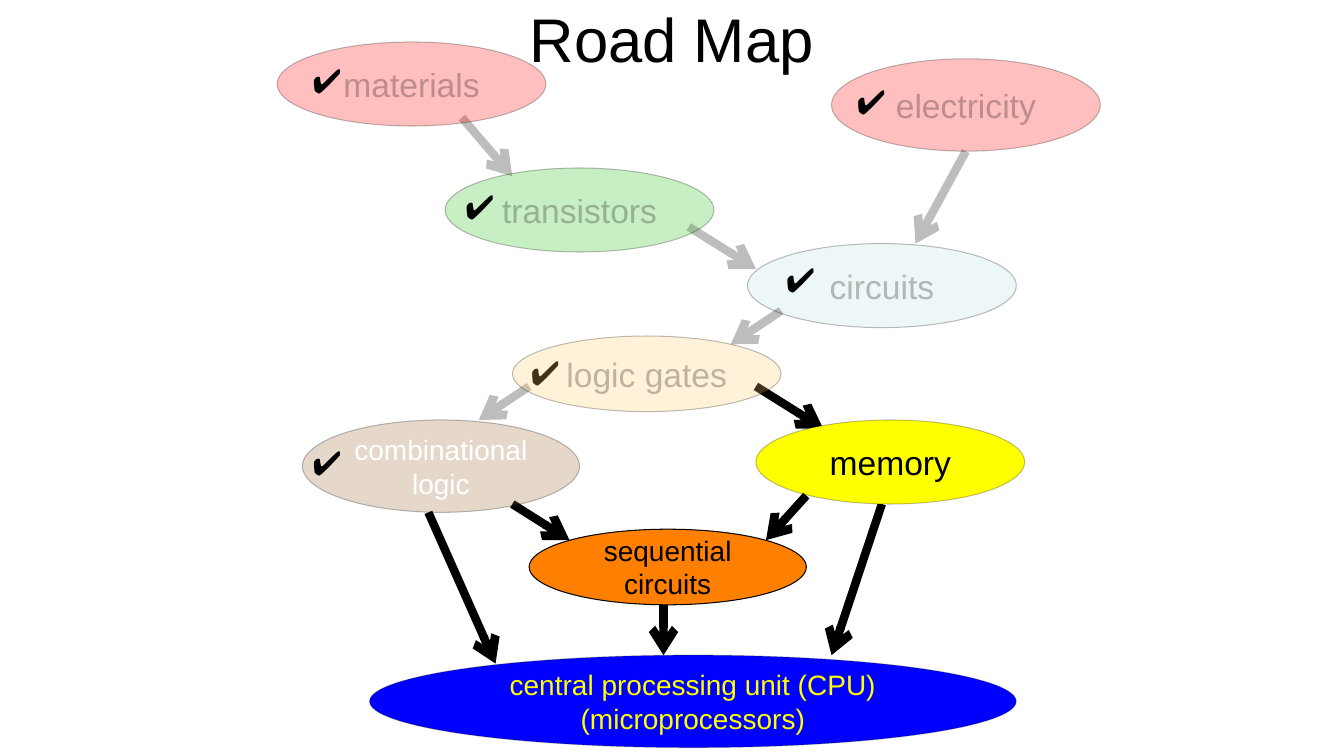
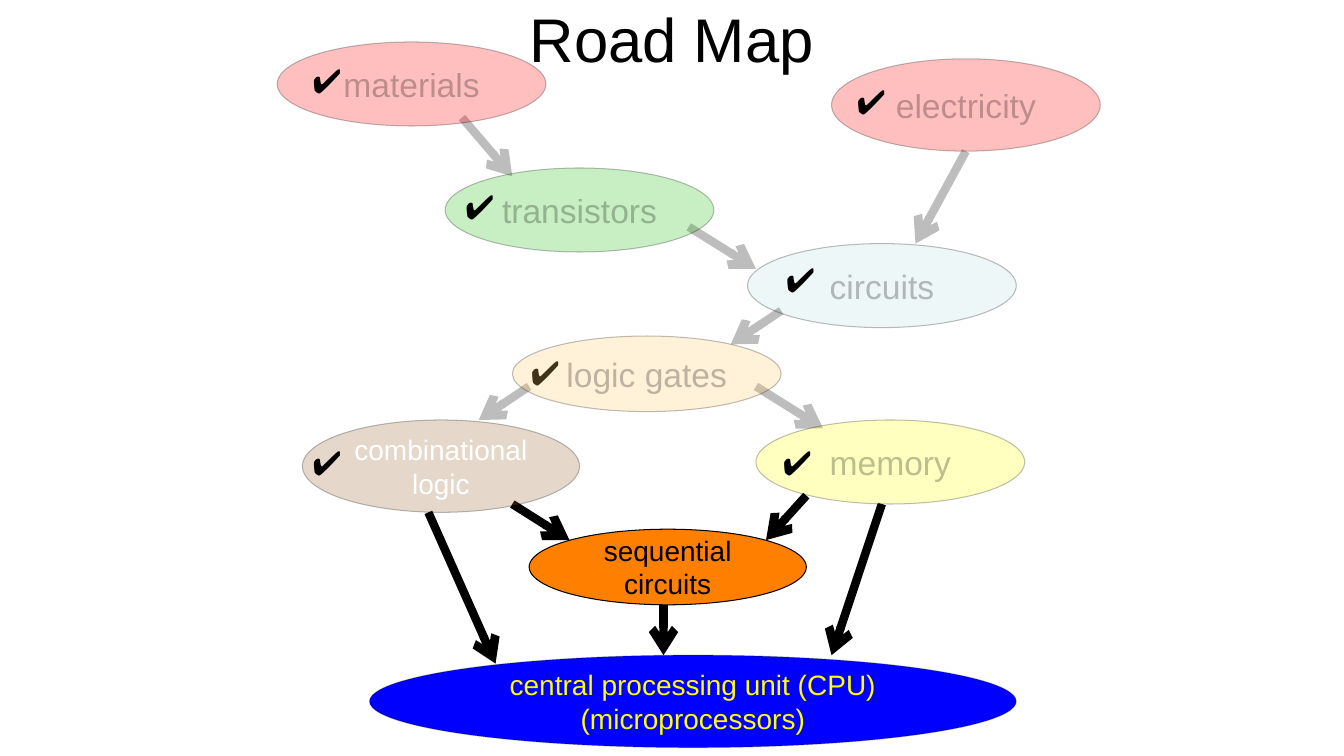
from dataclasses import dataclass

from lxml.etree import SubElement
from pptx import Presentation
from pptx.dml.color import RGBColor
from pptx.enum.shapes import MSO_CONNECTOR as Connector, MSO_SHAPE as Shape
from pptx.enum.text import MSO_ANCHOR as Anchor, PP_ALIGN as Align
from pptx.oxml.ns import qn
from pptx.util import Cm, Pt

BLACK = RGBColor(0x00, 0x00, 0x00)
WHITE = RGBColor(0xFF, 0xFF, 0xFF)
RED = RGBColor(0xFF, 0x00, 0x00)
GREEN = RGBColor(0x25, 0xC2, 0x10)
PALE_TEAL = RGBColor(0xBB, 0xE0, 0xE3)
SAND = RGBColor(0xFF, 0xCC, 0x66)
BROWN = RGBColor(0x99, 0x66, 0x33)
YELLOW = RGBColor(0xFF, 0xFF, 0x00)
ORANGE = RGBColor(0xFF, 0x80, 0x00)
BLUE = RGBColor(0x00, 0x00, 0xFF)

FONT = "Arial"
FADED_ALPHA = "25000"
CELLS_PER_INCH = 12
TICK_SIZE = (6.5, 6)


@dataclass
class Topic:
    """One ellipse of the road map, in grid cells, with the arrows that lead to it."""
    lines: tuple
    box: tuple
    fill: RGBColor
    arrows: tuple = ()
    tick: tuple = ()
    size: int = 24
    ink: RGBColor = BLACK
    solid_outline: bool = False
    tick_behind: bool = False


TOPICS = (
    Topic(("central processing unit (CPU)", "(microprocessors)"), (44, 78, 77, 11), BLUE,
          ((51, 61, 59, 79), (105, 60, 99, 78), (79, 72, 79, 78)), size=20, ink=YELLOW),
    Topic(("memory",), (90, 50, 32, 10), YELLOW, ((90, 46, 98, 51),), (2, 2)),
    Topic(("sequential circuits",), (63, 63, 33, 9), ORANGE,
          ((96, 59, 91.2, 64.3), (61, 60, 67.8, 64.3)), size=20, solid_outline=True),
    Topic(("electricity",), (99, 7, 32, 11), RED, tick=(1.8, 2)),
    Topic(("combinational logic",), (36, 50, 33, 11), BROWN, ((63, 46, 57, 50),), (0, 2),
          size=20, ink=WHITE),
    Topic(("circuits",), (89, 29, 32, 10), PALE_TEAL,
          ((82, 27, 90, 32), (115, 18, 109, 29)), (3.4, 1.2)),
    Topic(("transistors",), (53, 20, 32, 10), GREEN, ((55, 14, 61, 21),), (1.2, 1.5)),
    Topic(("materials",), (33, 5, 32, 10), RED, tick=(3, 1.6)),
    Topic(("logic gates",), (61, 40, 32, 9), SAND, ((93, 37, 87, 41),), (1, 1.3),
          tick_behind=True),
)
LEARNED_FIRST = {"electricity", "combinational logic", "circuits", "transistors",
                 "materials", "logic gates"}


def cells(*values):
    """Turn grid cells into lengths."""
    return [Cm(2.54 * value / CELLS_PER_INCH) for value in values]


def fade(element):
    """Make every colour below an XML element mostly transparent."""
    for color in element.iter(qn("a:srgbClr")):
        SubElement(color, qn("a:alpha"), val=FADED_ALPHA)


def add_run(paragraph, text, size, color):
    """Add one styled run and return it."""
    run = paragraph.add_run()
    run.text = text
    run.font.name = FONT
    run.font.size = Pt(size)
    run.font.color.rgb = color
    return run


def add_title(slide, text, box):
    """Place the centred slide title in its box."""
    frame = slide.shapes.add_textbox(*cells(*box)).text_frame
    frame.word_wrap = True
    frame.vertical_anchor = Anchor.MIDDLE
    frame.paragraphs[0].alignment = Align.CENTER
    add_run(frame.paragraphs[0], text, 44, BLACK)


def add_arrow(slide, ends, faded):
    """Draw a thick arrow between two grid points."""
    connector = slide.shapes.add_connector(Connector.STRAIGHT, *cells(*ends))
    connector.line.color.rgb = BLACK
    connector.line.width = Pt(6)
    properties = connector._element.spPr
    outline = properties.find(qn("a:ln"))
    if faded:
        fade(outline)
    SubElement(outline, qn("a:tailEnd"), type="arrow")
    SubElement(properties, qn("a:effectLst"))


def add_tick(slide, topic):
    """Place the tick at its offset inside the ellipse of a topic."""
    left, top = (start + offset for start, offset in zip(topic.box, topic.tick))
    frame = slide.shapes.add_textbox(*cells(left, top, *TICK_SIZE)).text_frame
    frame.word_wrap = False
    add_run(frame.paragraphs[0], "✔", 24, BLACK)


def add_ellipse(slide, topic, faded):
    """Draw the labelled ellipse of a topic."""
    shape = slide.shapes.add_shape(Shape.OVAL, *cells(*topic.box))
    shape.shadow.inherit = False
    shape.fill.solid()
    shape.fill.fore_color.rgb = topic.fill
    properties = shape._element.spPr
    if faded:
        fade(properties)
    shape.line.color.rgb = BLACK
    shape.line.width = Pt(0.75)
    if not topic.solid_outline:
        fade(properties.find(qn("a:ln")))
    frame = shape.text_frame
    frame.word_wrap = True
    frame.vertical_anchor = Anchor.MIDDLE
    for index, line in enumerate(topic.lines):
        paragraph = frame.add_paragraph() if index else frame.paragraphs[0]
        paragraph.alignment = Align.CENTER
        run = add_run(paragraph, line, topic.size, topic.ink)
        if faded and topic.ink == BLACK:
            fade(run._r)


def add_topic(slide, topic, learned):
    """Draw a topic with its incoming arrows, faded and ticked once learned."""
    for ends in topic.arrows:
        add_arrow(slide, ends, learned)
    if learned and topic.tick_behind:
        add_tick(slide, topic)
    add_ellipse(slide, topic, learned)
    if learned and not topic.tick_behind:
        add_tick(slide, topic)


def add_road_map(presentation, learned_topics):
    """Add a road map slide on which the learned topics are faded."""
    slide = presentation.slides.add_slide(presentation.slide_layouts[6])
    add_title(slide, "Road Map", (29, -3, 102, 15))
    for topic in TOPICS:
        add_topic(slide, topic, topic.lines[0] in learned_topics)


def main():
    """Build and save the presentation."""
    presentation = Presentation()
    presentation.slide_width = Cm(33.87)
    presentation.slide_height = Cm(19.05)
    for learned_topics in (LEARNED_FIRST, LEARNED_FIRST | {"memory"}):
        add_road_map(presentation, learned_topics)
    presentation.save("out.pptx")


if __name__ == "__main__":
    main()
